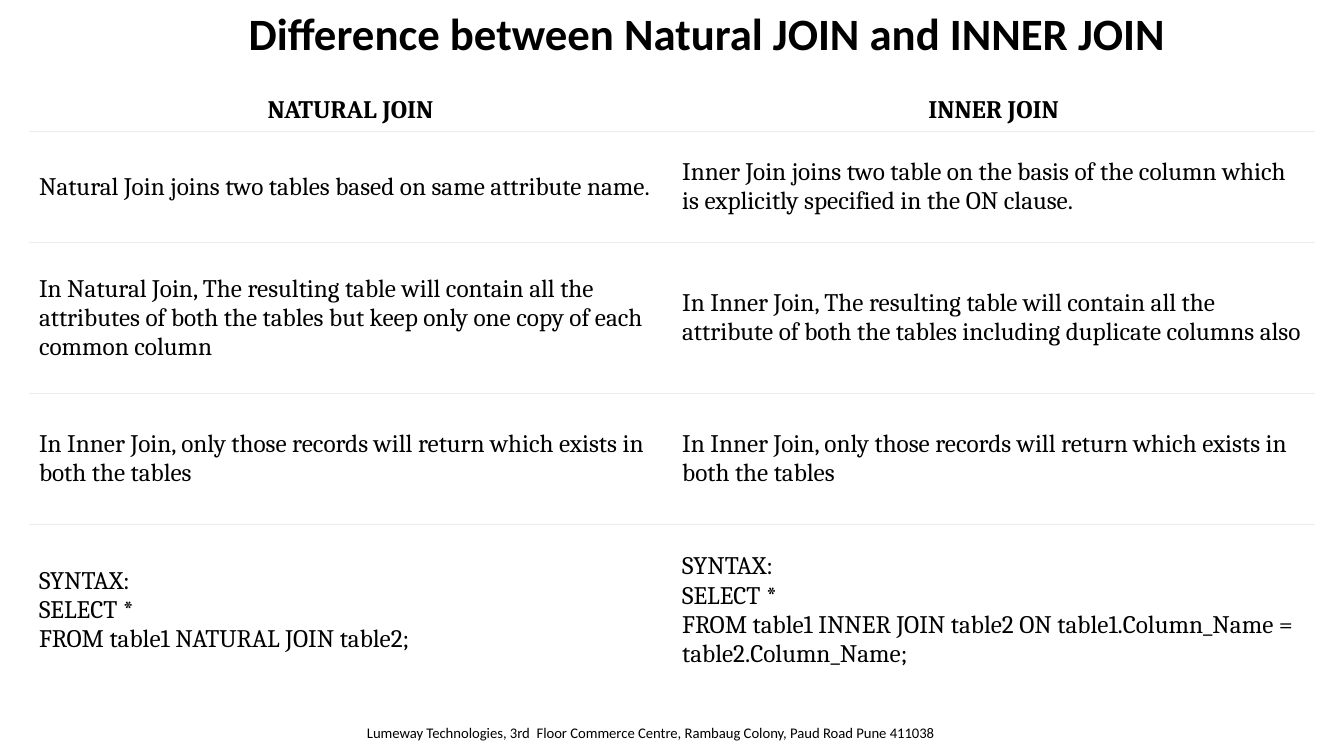
from lxml.etree import SubElement
from pptx import Presentation
from pptx.dml.color import RGBColor
from pptx.enum.shapes import MSO_SHAPE
from pptx.enum.text import MSO_ANCHOR, PP_ALIGN
from pptx.oxml import parse_xml
from pptx.oxml.ns import nsdecls, qn
from pptx.util import Pt

INK, PAPER, RULE = "000000", "FFFFFF", "EDEDED"
PLAIN = "{2D5ABB26-0587-4C30-8999-92F81FD0307C}"
HEADS = ("NATURAL JOIN", "INNER JOIN")
ROWS = [
    ("Natural Join joins two tables based on same attribute name.",
     "Inner Join joins two table on the basis of the column which is explicitly specified in the ON clause."),
    ("In Natural Join, The resulting table will contain all the attributes of both the tables "
     "but keep only one copy of each common column",
     "In Inner Join, The resulting table will contain all the attribute of both the tables "
     "including duplicate columns also"),
    ("In Inner Join, only those records will return which exists in both the tables",) * 2,
    ("SYNTAX:\vSELECT *\vFROM table1 NATURAL JOIN table2;",
     "SYNTAX:\vSELECT *\vFROM table1 INNER JOIN table2 ON table1.Column_Name = table2.Column_Name;"),
]
HIGHS = (22.3, 79.2, 108, 93.6, 122.4)


def paint(color, tone):
    """Give a fill or font colour a hex tone."""
    color.rgb = RGBColor.from_string(tone)


def write(frame, text, size, face, bold=False, align=PP_ALIGN.LEFT):
    """Put one styled paragraph into a text frame."""
    para = frame.paragraphs[0]
    para.text = text
    para.alignment = align
    font = para.font
    font.size, font.name, font.bold = Pt(size), face, bold
    paint(font.color, INK)


def add_title(slide, left, top, width, height):
    """Draw the title bar."""
    bar = slide.shapes.add_shape(MSO_SHAPE.RECTANGLE, Pt(left), Pt(top), Pt(width), Pt(height))
    bar.shadow.inherit = False
    bar.fill.solid()
    paint(bar.fill.fore_color, PAPER)
    bar.line.fill.background()
    bar.text_frame.word_wrap = True
    write(bar.text_frame, "Difference between Natural JOIN and INNER JOIN",
          32, "Calibri", True, PP_ALIGN.RIGHT)


def add_foot(slide, left, top, width, height):
    """Draw the address line."""
    box = slide.shapes.add_textbox(Pt(left), Pt(top), Pt(width), Pt(height))
    box.text_frame.word_wrap = True
    write(box.text_frame,
          "Lumeway Technologies, 3rd  Floor Commerce Centre, Rambaug Colony, Paud Road Pune 411038",
          10.5, "Calibri")


def rule_off(cell):
    """Draw a thin rule under a cell."""
    line = parse_xml(f'<a:lnB {nsdecls("a")} w="{Pt(0.75)}"/>')
    fill = SubElement(line, qn("a:solidFill"))
    SubElement(fill, qn("a:srgbClr"), val=RULE)
    cell._tc.get_or_add_tcPr().insert(0, line)


def fill_cell(cell, text, head, last):
    """Style one table cell."""
    cell.vertical_anchor = MSO_ANCHOR.MIDDLE
    cell.margin_left = cell.margin_right = Pt(4.5 if head else 7.2)
    cell.margin_top = cell.margin_bottom = Pt(4.5 if head else 3.6)
    if head:
        cell.fill.background()
    else:
        cell.fill.solid()
        paint(cell.fill.fore_color, PAPER)
    if not last:
        rule_off(cell)
    write(cell.text_frame, text, 18, "Cambria", head,
          PP_ALIGN.CENTER if head else PP_ALIGN.LEFT)


def add_grid(slide, left, top, width):
    """Draw the comparison table."""
    data = [HEADS, *ROWS]
    frame = slide.shapes.add_table(len(data), len(HEADS), Pt(left), Pt(top),
                                   Pt(width), Pt(sum(HIGHS)))
    table = frame.table
    table.first_row = table.horz_banding = False
    table._tbl.tblPr.find(qn("a:tableStyleId")).text = PLAIN
    for col in table.columns:
        col.width = Pt(width / len(HEADS))
    for r, (texts, high) in enumerate(zip(data, HIGHS)):
        table.rows[r].height = Pt(high)
        for c, text in enumerate(texts):
            fill_cell(table.cell(r, c), text, r == 0, r == len(data) - 1)


def main():
    """Build and save the slide."""
    deck = Presentation()
    deck.slide_width, deck.slide_height = Pt(960), Pt(540)
    slide = deck.slides.add_slide(deck.slide_layouts[6])
    add_title(slide, 120, 0, 720, 46)
    add_foot(slide, 255, 513.5, 425.5, 28.8)
    add_grid(slide, 20.7, 63.4, 918.8)
    deck.save("out.pptx")


if __name__ == "__main__":
    main()
